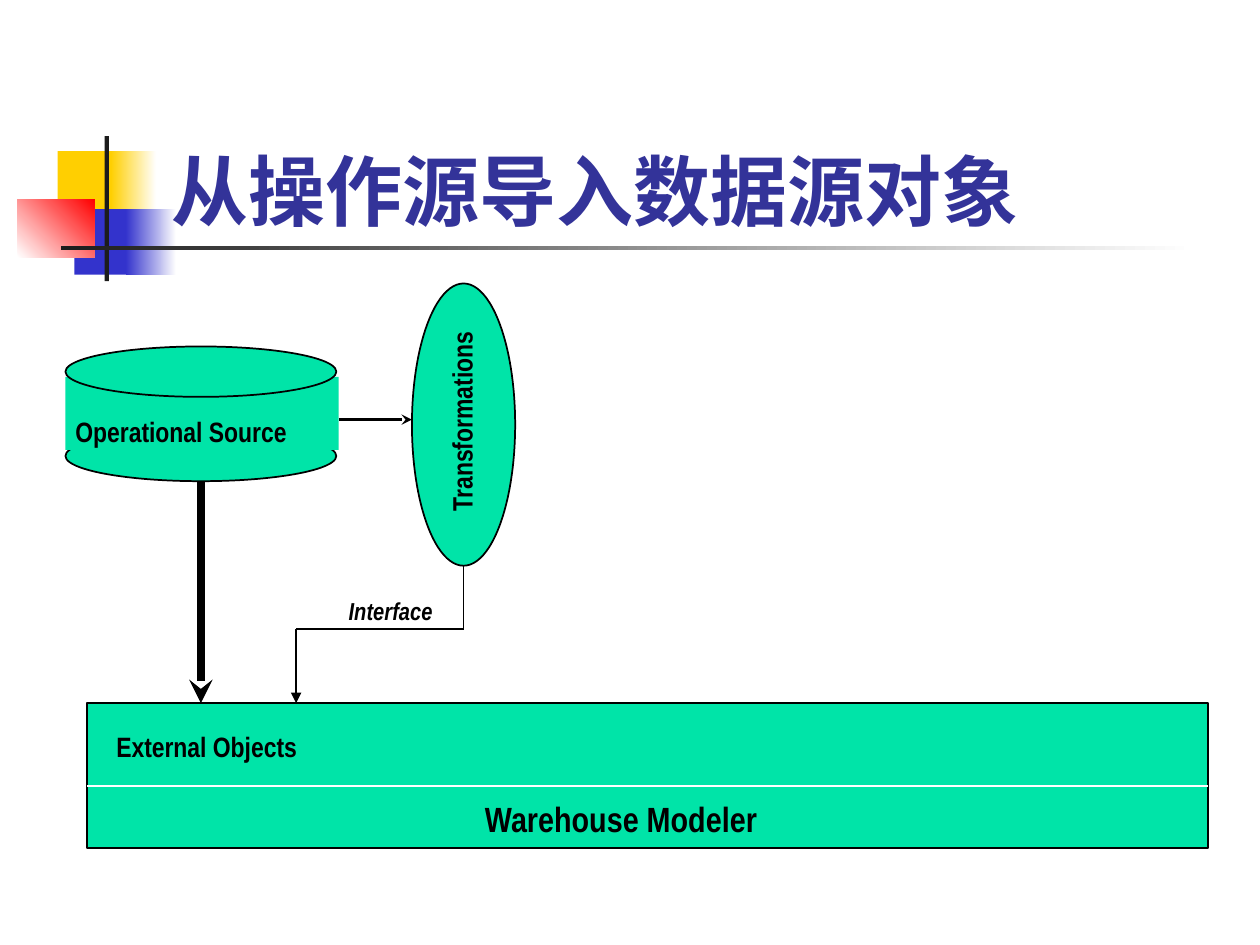
"""Build the slide on importing data source objects from an operational source."""
from dataclasses import dataclass

from lxml.etree import SubElement
from pptx import Presentation
from pptx.dml.color import RGBColor
from pptx.enum.shapes import MSO_CONNECTOR as CONN, MSO_SHAPE as SHAPE
from pptx.enum.text import MSO_ANCHOR as ANCHOR, MSO_AUTO_SIZE as FIT, PP_ALIGN as ALIGN
from pptx.oxml.ns import qn
from pptx.util import Pt


@dataclass(frozen=True)
class Theme:
    green: str = "00E4A8"
    black: str = "000000"
    white: str = "FFFFFF"
    yellow: str = "FFCF01"
    blue: str = "3333CC"
    red: str = "FF0000"
    ink: str = "1C1C1C"
    title: str = "333399"
    title_font: str = "Cabin"
    body_font: str = "Arial Narrow"
    title_size: int = 44
    name_size: int = 20
    label_size: int = 16
    note_size: int = 14


T = Theme()
RECT, OVAL = SHAPE.RECTANGLE, SHAPE.OVAL

# box, colours (two make a gradient), gradient angle
ORNAMENTS = [
    ((33, 86.4, 34.6, 37.4), (T.yellow,), 0),
    ((63.4, 86.4, 25.9, 37.4), (T.yellow, T.white), 0),
    ((42.5, 119.5, 33.1, 37.4), (T.blue,), 0),
    ((72, 119.5, 28.8, 37.4), (T.blue, T.white), 0),
    ((10.1, 113.8, 43.9, 33.1), (T.white, T.red), 45),
    ((59.8, 77.8, 2.5, 82.8), (T.ink,), 0),
    ((34.6, 140.4, 648, 2.5), (T.ink, T.white), 0),
]

WAREHOUSE = (49.7, 401.8, 640.8, 82.8)
TRANSFORM = (235.4, 162, 59, 161.3)
DISK = (37.4, 198, 154.8, 28.8)
DISK_DROP = 48.2
BODY = (37.4, 215.3, 156.2, 41.8)

LABELS = [
    dict(text="Warehouse Modeler", box=(270, 452.2, 174.2, 31), size=T.name_size),
    dict(text="Operational Source", box=(36, 233.3, 135.4, 26.6)),
    dict(text="Interface", box=(192.2, 337, 62.6, 23.8), size=T.note_size, italic=True),
    dict(text="External Objects", box=(43.2, 413.3, 149.8, 26.6), centred=True),
    dict(text="Transformations", box=(190.1, 227.5, 147.6, 26.6), centred=True, turn=270),
]
TITLE = dict(text="从操作源导入数据源对象", box=(90.7, 48.2, 613.4, 90), size=T.title_size,
             font=T.title_font, color=T.title, wrap=True, anchor=ANCHOR.BOTTOM, fit=FIT.NONE)


def rgb(value):
    return RGBColor.from_string(value)


def add_block(s, kind, box, colors, angle=0, outline=False):
    sp = s.shapes.add_shape(kind, *map(Pt, box))
    sp.shadow.inherit = False
    if len(colors) == 1:
        sp.fill.solid()
        sp.fill.fore_color.rgb = rgb(colors[0])
    else:
        sp.fill.gradient()
        sp.fill.gradient_angle = angle
        for stop, color in zip(sp.fill.gradient_stops, colors):
            stop.color.rgb = rgb(color)
    if outline:
        sp.line.color.rgb = rgb(T.black)
        sp.line.width = Pt(1)
    else:
        sp.line.fill.background()


def add_line(s, ends, width=1, color=T.black, head=None):
    sp = s.shapes.add_connector(CONN.STRAIGHT, *map(Pt, ends))
    sp.line.color.rgb = rgb(color)
    sp.line.width = Pt(width)
    if head:
        SubElement(sp.line._get_or_add_ln(), qn("a:tailEnd"), type=head)
    SubElement(sp._element.spPr, qn("a:effectLst"))


def add_label(s, text, box, size=T.label_size, font=T.body_font, color=T.black, italic=False,
              centred=False, wrap=False, turn=0, anchor=ANCHOR.TOP, fit=FIT.SHAPE_TO_FIT_TEXT):
    sp = s.shapes.add_textbox(*map(Pt, box))
    sp.rotation = turn
    tf = sp.text_frame
    tf.auto_size, tf.word_wrap, tf.vertical_anchor = fit, wrap or centred, anchor
    p = tf.paragraphs[0]
    p.text = text
    p.alignment = ALIGN.CENTER if centred else ALIGN.LEFT
    p.font.name, p.font.size = font, Pt(size)
    p.font.bold, p.font.italic = True, italic
    p.font.color.rgb = rgb(color)


def main():
    prs = Presentation()
    prs.slide_width, prs.slide_height = Pt(720), Pt(540)
    s = prs.slides.add_slide(prs.slide_layouts[6])

    for box, colors, angle in ORNAMENTS:
        add_block(s, RECT, box, colors, angle)

    x, y, w, h = DISK
    base = (x, y + DISK_DROP, w, h)
    for kind, box, outline in [(RECT, WAREHOUSE, True), (OVAL, base, True), (RECT, BODY, False),
                               (OVAL, DISK, True), (OVAL, TRANSFORM, True)]:
        add_block(s, kind, box, (T.green,), outline=outline)

    left, top, width, _ = WAREHOUSE
    source_x, source_bottom, source_y = x + w / 2, y + DISK_DROP + h, 239.8
    turn_x = TRANSFORM[0] + TRANSFORM[2] / 2
    turn_bottom = TRANSFORM[1] + TRANSFORM[3]
    drop_x, elbow_y, divider_y = 169.2, 359.3, 449.3
    add_line(s, (BODY[0] + BODY[2], source_y, TRANSFORM[0], source_y), 2, head="stealth")
    add_line(s, (source_x, source_bottom, source_x, top), 4.5, head="stealth")
    add_line(s, (left, divider_y, left + width, divider_y), color=T.white)
    add_line(s, (turn_x, elbow_y, turn_x, turn_bottom))
    add_line(s, (drop_x, elbow_y, turn_x, elbow_y))
    add_line(s, (drop_x, elbow_y, drop_x, top), head="triangle")

    for label in [*LABELS, TITLE]:
        add_label(s, **label)
    prs.save("out.pptx")


if __name__ == "__main__":
    main()
